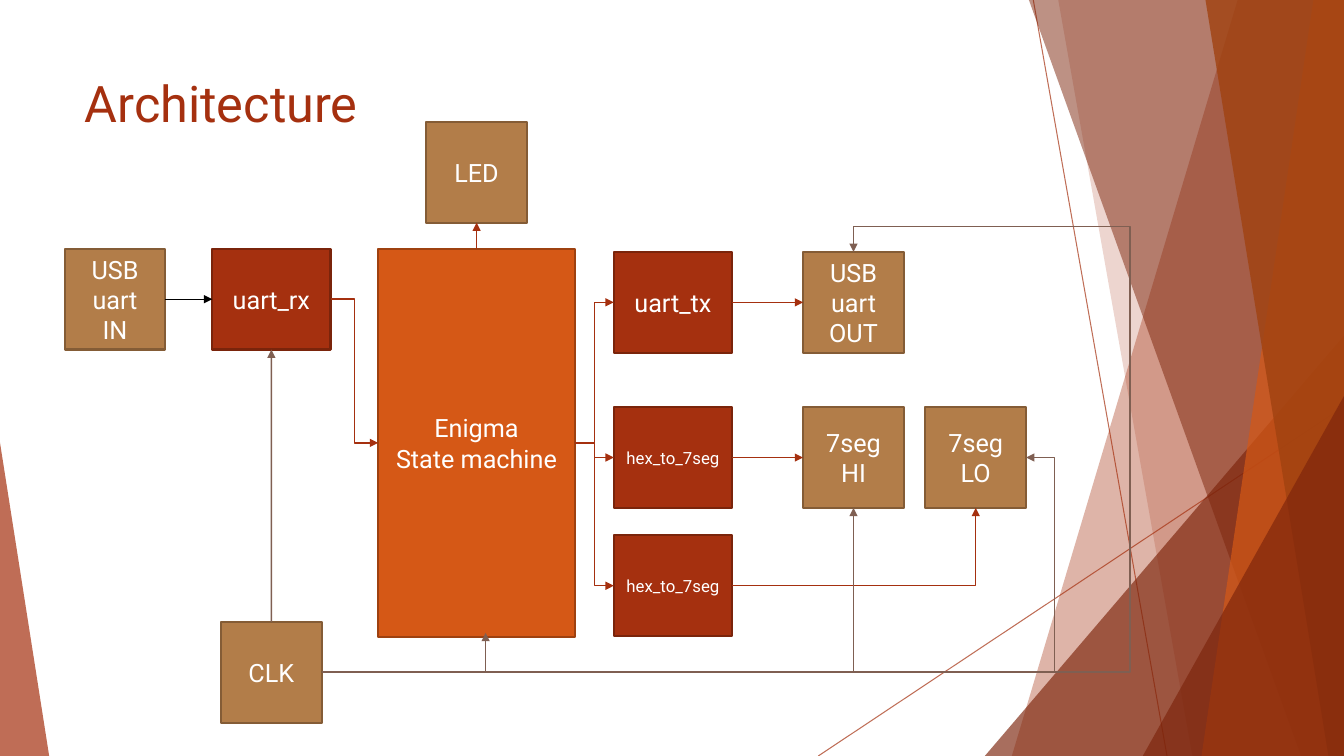
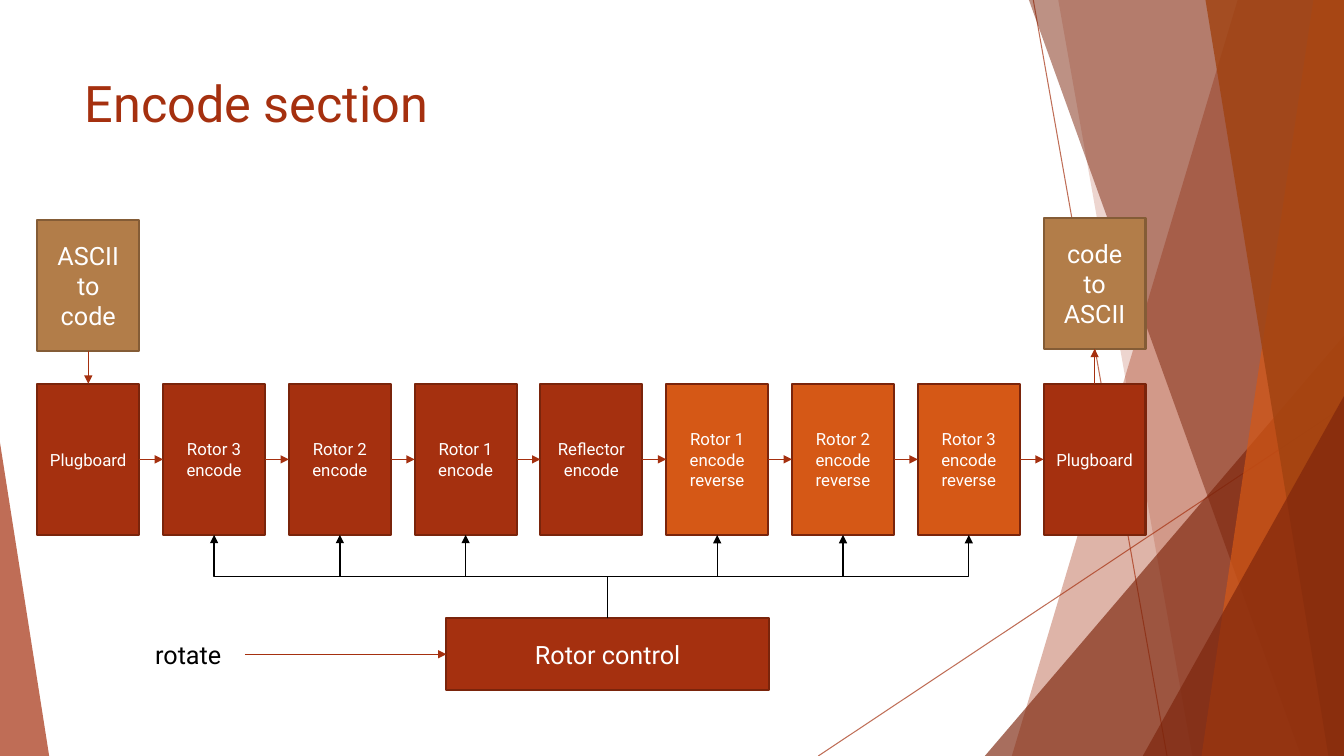
"""Build two block-diagram slides for an Enigma machine design."""
from dataclasses import dataclass
from typing import Any, NamedTuple

from lxml import etree
from pptx import Presentation
from pptx.dml.color import RGBColor
from pptx.enum.shapes import MSO_CONNECTOR, MSO_SHAPE
from pptx.enum.text import MSO_ANCHOR, PP_ALIGN
from pptx.oxml.ns import qn
from pptx.slide import Slide, SlideLayout
from pptx.util import Cm, Pt

STRAIGHT = MSO_CONNECTOR.STRAIGHT
ELBOW = MSO_CONNECTOR.ELBOW
RECT = MSO_SHAPE.RECTANGLE
TRIANGLE = MSO_SHAPE.ISOSCELES_TRIANGLE
CENTER, LEFT = PP_ALIGN.CENTER, PP_ALIGN.LEFT
TOP_ANCHOR, MIDDLE = MSO_ANCHOR.TOP, MSO_ANCHOR.MIDDLE

FONT = "Roboto"
RED, DARK_RED, ORANGE, BROWN = "A5300F", "7C240B", "D55816", "A04210"
TAUPE, BLACK, WHITE = "7F5F52", "000000", "FFFFFF"
WIDTH, HEIGHT = 33.87, 19.05
TOP, LEFT_SIDE, BOTTOM, RIGHT = range(4)


class Style(NamedTuple):
    """Fill and outline of a block."""
    fill: str
    line: str


MODULE = Style(RED, "7A240B")
REVERSE = Style(ORANGE, "7A240B")
CORE = Style(ORANGE, "9E4110")
PORT = Style("B27D49", "845C36")


@dataclass
class Band:
    """A backdrop strip running to the right edge of the slide."""
    top_x: float
    bottom_x: float
    color: str
    opacity: int


@dataclass
class Wedge:
    """A right-angled backdrop triangle standing on the bottom edge."""
    left: float
    top: float
    width: float
    apex: float
    color: str
    opacity: int


@dataclass
class Block:
    """A labelled rectangle of a diagram, in centimetres."""
    text: str
    left: float
    top: float
    width: float = 2.54
    height: float = 2.54
    style: Style = PORT
    size: int = 18


class Anchor(NamedTuple):
    """A connector end: a side of a shape or a free point."""
    shape: Any = None
    side: int = TOP
    x: int = 0
    y: int = 0


BACKDROP = [
    Band(31.19, 25.5, RED, 36),
    Band(26.67, 30.05, RED, 20),
    Wedge(24.82, 8.46, 9.05, 1, DARK_RED, 66),
    Band(25.93, 32.79, DARK_RED, 50),
    Band(33.1, 30.28, ORANGE, 70),
    Band(30.38, 33.48, BROWN, 80),
    Wedge(28.8, 9.98, 5.07, 1, DARK_RED, 66),
    Wedge(0, 11.15, 1.24, 0, RED, 70),
]
HAIRLINES = [(26.04, 0, 29.41, HEIGHT), (WIDTH, 10.24, 20.62, HEIGHT)]


def rgb(color: str) -> RGBColor:
    """Turn a hex string into a colour."""
    return RGBColor.from_string(color)


def write(s: Any, text: str, *, size: float = 18, color: str = WHITE, align: Any = CENTER,
          anchor: Any = MIDDLE, wrap: bool = True) -> None:
    """Fill a shape with formatted text, one paragraph a line."""
    tf = s.text_frame
    tf.word_wrap = wrap
    tf.vertical_anchor = anchor
    for i, line in enumerate(text.split("\n")):
        p = tf.add_paragraph() if i else tf.paragraphs[0]
        p.alignment = align
        r = p.add_run()
        r.text = line
        r.font.name = FONT
        r.font.size = Pt(size)
        r.font.color.rgb = rgb(color)


def fade(s: Any, opacity: int) -> None:
    """Make the colours of a shape translucent."""
    for clr in list(s.element.spPr.iter(qn("a:srgbClr"))):
        etree.SubElement(clr, qn("a:alpha"), val=str(opacity * 1000))


def add_line(slide: Slide, kind: Any, ends: tuple, color: str, width: float) -> Any:
    """Add a shadowless connector between two points."""
    c = slide.shapes.add_connector(kind, *ends)
    c.line.color.rgb = rgb(color)
    c.line.width = Pt(width)
    etree.SubElement(c.element.spPr, qn("a:effectLst"))
    return c


def add_backdrop(slide: Slide) -> None:
    """Draw the translucent ribbons and hairlines."""
    for ends in HAIRLINES:
        c = add_line(slide, STRAIGHT, tuple(Cm(v) for v in ends), RED, 0.75)
        fade(c, 70)
    for part in BACKDROP:
        if isinstance(part, Band):
            fb = slide.shapes.build_freeform(Cm(part.top_x), 0)
            corners = [(WIDTH, 0), (WIDTH, HEIGHT), (part.bottom_x, HEIGHT)]
            fb.add_line_segments([(Cm(x), Cm(y)) for x, y in corners])
            s = fb.convert_to_shape()
        else:
            s = slide.shapes.add_shape(TRIANGLE, Cm(part.left), Cm(part.top),
                                       Cm(part.width), Cm(HEIGHT - part.top))
            s.adjustments[0] = part.apex
        s.shadow.inherit = False
        s.fill.solid()
        s.fill.fore_color.rgb = rgb(part.color)
        s.line.fill.background()
        fade(s, part.opacity)


def move_to_layout(slide: Slide, layout: SlideLayout) -> None:
    """Move the drawn backdrop behind the layout title and drop the footers."""
    for ph in list(layout.placeholders)[1:]:
        ph.element.getparent().remove(ph.element)
    parts = [s for s in slide.shapes if not s.is_placeholder]
    for i, s in enumerate(parts, start=2):
        layout.shapes.element.insert(i, s.element)


def set_title(slide: Slide, text: str) -> None:
    """Place and format the slide title."""
    s = slide.shapes.title
    s.left, s.top, s.width, s.height = Cm(1.88), Cm(1.7), Cm(23.88), Cm(3.66)
    write(s, text, size=36, color=RED, align=LEFT, anchor=TOP_ANCHOR)


def add_block(slide: Slide, b: Block) -> Any:
    """Draw one diagram block."""
    s = slide.shapes.add_shape(RECT, Cm(b.left), Cm(b.top), Cm(b.width), Cm(b.height))
    s.shadow.inherit = False
    s.fill.solid()
    s.fill.fore_color.rgb = rgb(b.style.fill)
    s.line.color.rgb = rgb(b.style.line)
    s.line.width = Pt(1.5)
    write(s, b.text, size=b.size)
    return s


def turn_upward(c: Any) -> None:
    """Rotate an elbow connector so that it leaves its start upward."""
    x1, y1, x2, y2 = c.begin_x, c.begin_y, c.end_x, c.end_y
    dx, dy = abs(x2 - x1), abs(y2 - y1)
    c.left, c.top = (x1 + x2 - dy) // 2, (y1 + y2 - dx) // 2
    c.width, c.height = dy, dx
    xfrm = c.element.spPr.find(qn("a:xfrm"))
    xfrm.set("rot", str(270 * 60000))
    xfrm.set("flipH", "0")
    xfrm.set("flipV", "1" if x2 < x1 else "0")


def connect(slide: Slide, start: Anchor, end: Anchor, color: str = RED, *,
            bends: int = 0, adjust: tuple = (), upward: bool = False) -> None:
    """Draw an arrow, straight or with the given number of bends."""
    kind = ELBOW if bends else STRAIGHT
    c = add_line(slide, kind, (start.x, start.y, end.x, end.y), color, 1)
    if start.shape is not None:
        c.begin_connect(start.shape, start.side)
    if end.shape is not None:
        c.end_connect(end.shape, end.side)
    if upward:
        turn_upward(c)
    sp = c.element.spPr
    etree.SubElement(sp.find(qn("a:ln")), qn("a:tailEnd"), type="triangle")
    if bends:
        geom = sp.find(qn("a:prstGeom"))
        geom.set("prst", f"bentConnector{bends + 1}")
        guides = geom.find(qn("a:avLst"))
        for i, value in enumerate(adjust, start=1):
            etree.SubElement(guides, qn("a:gd"), name=f"adj{i}", fmla=f"val {round(value * 100000)}")


def build_architecture(slide: Slide) -> None:
    """Draw the architecture diagram."""
    set_title(slide, "Architecture")
    blocks = {
        "rx": Block("uart_rx", 5.35, 6.27, 2.98, style=MODULE),
        "tx": Block("uart_tx", 15.47, 6.35, 2.98, style=MODULE),
        "hex_hi": Block("hex_to_7seg", 15.47, 10.26, 2.98, style=MODULE, size=12),
        "hex_lo": Block("hex_to_7seg", 15.47, 13.49, 2.98, style=MODULE, size=12),
        "hi": Block("7seg\nHI", 20.24, 10.26),
        "lo": Block("7seg\nLO", 23.32, 10.26),
        "usb_in": Block("USB\nuart\nIN", 1.63, 6.27),
        "usb_out": Block("USB\nuart OUT", 20.24, 6.35),
        "enigma": Block("Enigma\nState machine", 9.53, 6.27, 4.96, 9.78, CORE),
        "clk": Block("CLK", 5.57, 15.67),
        "led": Block("LED", 10.74, 3.07),
    }
    s = {key: add_block(slide, b) for key, b in blocks.items()}
    connect(slide, Anchor(s["usb_in"], RIGHT), Anchor(s["rx"], LEFT_SIDE), BLACK)
    for source, target in (("tx", "usb_out"), ("hex_hi", "hi")):
        connect(slide, Anchor(s[source], RIGHT), Anchor(s[target], LEFT_SIDE))
    connect(slide, Anchor(s["hex_lo"], RIGHT), Anchor(s["lo"], BOTTOM), bends=1)
    connect(slide, Anchor(s["enigma"], TOP), Anchor(s["led"], BOTTOM))
    for source, target in (("rx", "enigma"), ("enigma", "tx"), ("enigma", "hex_hi"),
                           ("enigma", "hex_lo")):
        connect(slide, Anchor(s[source], RIGHT), Anchor(s[target], LEFT_SIDE), bends=2)

    connect(slide, Anchor(s["clk"], TOP), Anchor(s["rx"], BOTTOM), TAUPE)
    clock = Anchor(s["clk"], RIGHT)
    connect(slide, clock, Anchor(x=Cm(12.24), y=Cm(15.95)), TAUPE, bends=2, adjust=(1,))
    connect(slide, clock, Anchor(s["hi"], BOTTOM), TAUPE, bends=1)
    connect(slide, clock, Anchor(s["lo"], RIGHT), TAUPE, bends=2, adjust=(1.04,))
    connect(slide, clock, Anchor(s["usb_out"], TOP), TAUPE, bends=3, adjust=(1.52, 1.06))


def build_encode(slide: Slide) -> None:
    """Draw the encode pipeline with its rotor control."""
    set_title(slide, "Encode section")
    stages = [
        ("Plugboard", MODULE),
        *((f"Rotor {n}\nencode", MODULE) for n in (3, 2, 1)),
        ("Reflector\nencode", MODULE),
        *((f"Rotor {n}\nencode\nreverse", REVERSE) for n in (1, 2, 3)),
        ("Plugboard", MODULE),
    ]
    lefts = [0.94 + 3.17 * i for i in range(len(stages))]
    chain = [add_block(slide, Block(text, x, 9.67, 2.57, 3.81, style, 12))
             for x, (text, style) in zip(lefts, stages)]
    reader = add_block(slide, Block("ASCII\nto\ncode", lefts[0], 5.54, 2.57, 3.3))
    writer = add_block(slide, Block("code\nto\nASCII", lefts[-1], 5.49, 2.57, 3.3))
    control = add_block(slide, Block("Rotor control", 11.25, 15.57, 8.13, 1.83, MODULE))
    label = slide.shapes.add_textbox(Cm(3.66), Cm(15.98), Cm(2.31), Cm(1.02))
    write(label, "rotate", color=BLACK, align=LEFT, anchor=TOP_ANCHOR, wrap=False)

    for source, target in zip(chain, chain[1:]):
        connect(slide, Anchor(source, RIGHT), Anchor(target, LEFT_SIDE))
    connect(slide, Anchor(reader, BOTTOM), Anchor(chain[0], TOP))
    connect(slide, Anchor(chain[-1], TOP), Anchor(writer, BOTTOM))
    middle = control.top + control.height // 2
    connect(slide, Anchor(x=Cm(6.17), y=middle), Anchor(control, LEFT_SIDE))
    for rotor in chain[1:4] + chain[5:8]:
        connect(slide, Anchor(control, TOP), Anchor(rotor, BOTTOM), BLACK, bends=2, upward=True)


def main() -> None:
    """Build and save the presentation."""
    prs = Presentation()
    prs.slide_width, prs.slide_height = Cm(WIDTH), Cm(HEIGHT)
    layout = prs.slide_layouts[5]
    slides = [prs.slides.add_slide(layout) for _ in range(2)]
    add_backdrop(slides[0])
    move_to_layout(slides[0], layout)
    build_architecture(slides[0])
    build_encode(slides[1])
    prs.save("out.pptx")


if __name__ == "__main__":
    main()
